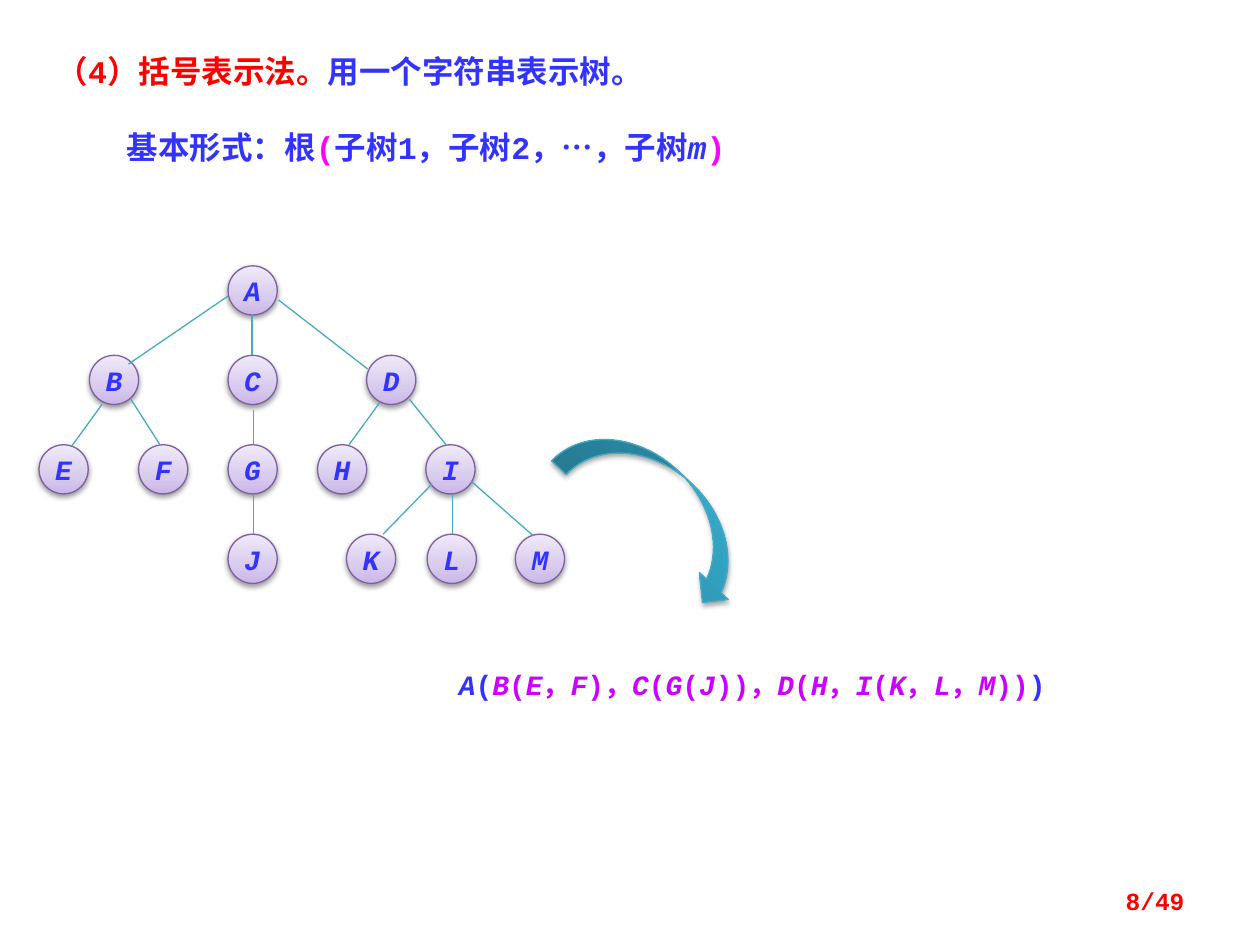
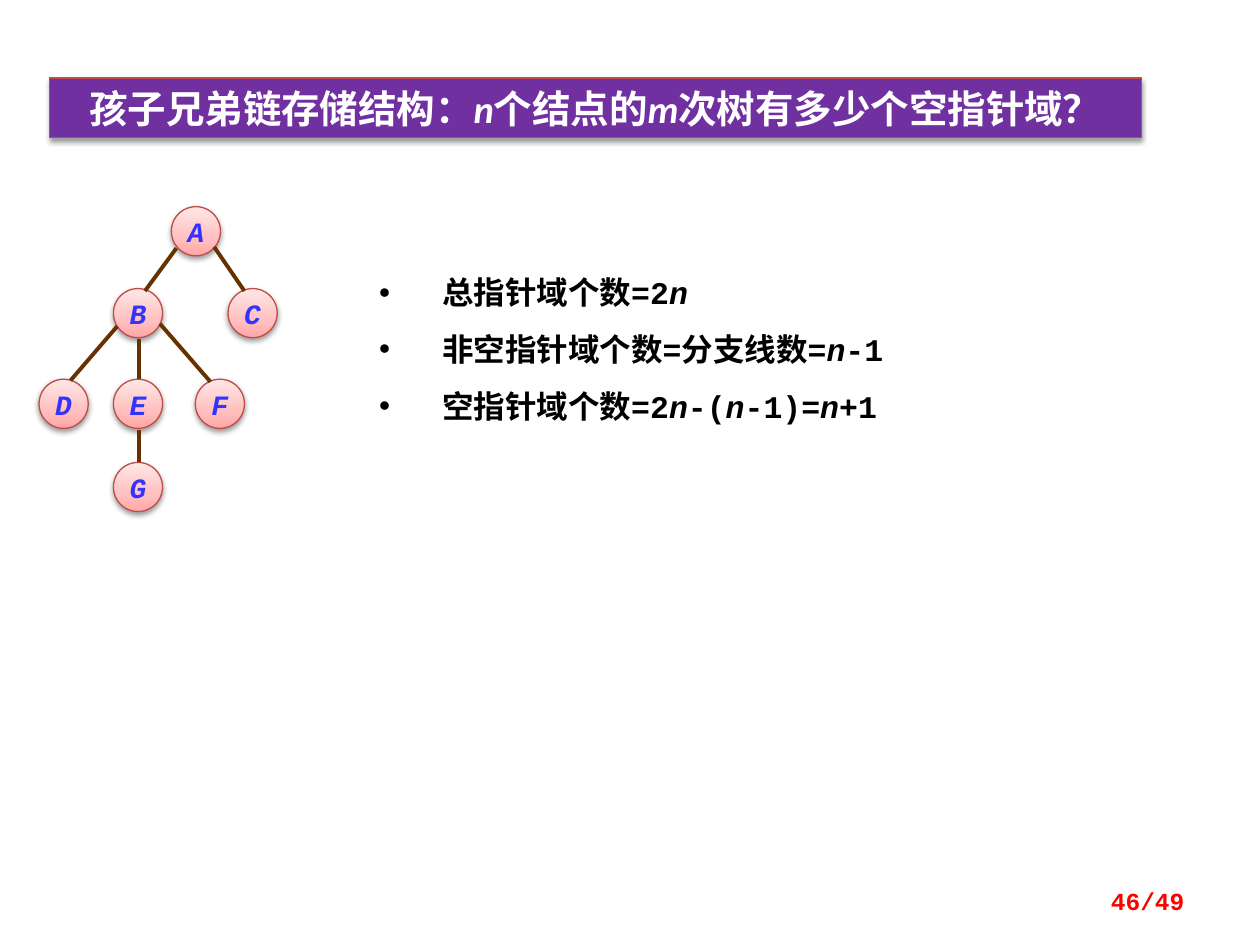
from itertools import groupby

from lxml.etree import SubElement
from pptx import Presentation
from pptx.dml.color import RGBColor
from pptx.enum.shapes import MSO_CONNECTOR, MSO_SHAPE
from pptx.enum.text import MSO_ANCHOR, PP_ALIGN
from pptx.oxml.ns import qn
from pptx.util import Inches, Pt

BLUE, RED, MAGENTA, VIOLET = "3333FF", "FF0000", "FF00FF", "CC00FF"
PURPLE, BRICK, TEAL, BROWN = "7030A0", "BF4C48", "46AAC5", "663300"
WHITE, BLACK = "FFFFFF", "000000"
CODE, SANS, CJK = "Courier New", "Calibri", "Noto Sans CJK SC"
NODE_SIZE = 0.39
PAGES = 49
SOFT_SHADOW = {"alpha": 38, "blur": 3.1, "dist": 1.6}
ARROW_SHADOW = {"alpha": 35, "blur": 3.1, "dist": 1.8}
LILAC_TREE = {
    "stops": [(0, "C9B5E8"), (35, "D8CBEE"), (100, "F0EAF9")],
    "outline": "7D60A0", "edge": TEAL, "weight": 0.75,
}
PINK_TREE = {
    "stops": [(0, "FFA6A5"), (35, "FFC0BF"), (100, "FFE7E7")],
    "outline": BRICK, "edge": BROWN, "weight": 2.25,
}
ARROW_STOPS = [(0, "2A88A2"), (80, "37B1D2"), (100, "34B4D6")]


def rgb(value):
    """Turn a hex string into a colour."""
    return RGBColor.from_string(value)


def set_line(line, color, weight=0.75):
    """Colour a line and set its width in points."""
    line.color.rgb = rgb(color)
    line.width = Pt(weight)


def set_gradient(shape, stops):
    """Fill a shape with colour stops that run from bottom to top."""
    shape.fill.gradient()
    shape.fill.gradient_angle = 90
    stop_list = shape._element.spPr.find(".//" + qn("a:gsLst"))
    for old in list(stop_list):
        stop_list.remove(old)
    for percent, color in stops:
        stop = SubElement(stop_list, qn("a:gs"), pos=str(percent * 1000))
        SubElement(stop, qn("a:srgbClr"), val=color)


def set_shadow(shape, alpha, blur, dist):
    """Give a shape a shadow that falls straight down."""
    shape.shadow.inherit = False
    effects = shape._element.spPr.find(qn("a:effectLst"))
    outer = SubElement(effects, qn("a:outerShdw"), blurRad=str(Pt(blur)),
                       dist=str(Pt(dist)), dir="5400000", rotWithShape="0")
    color = SubElement(outer, qn("a:srgbClr"), val=BLACK)
    SubElement(color, qn("a:alpha"), val=str(alpha * 1000))


def is_variable(char):
    """Tell whether a character is a Latin letter, shown in italics."""
    return char.isascii() and char.isalpha()


def add_runs(p, parts, size, font=CODE):
    """Write (text, colour) parts in bold with the Latin letters in italics."""
    for text, color in parts:
        for italic, chars in groupby(text, is_variable):
            r = p.add_run()
            r.text = "".join(chars)
            looks = {"size": Pt(size), "name": font, "bold": True, "italic": italic}
            for name, value in looks.items():
                setattr(r.font, name, value)
            r.font.color.rgb = rgb(color)
            r.font._element.find(qn("a:latin")).addnext(
                r.font._element.makeelement(qn("a:ea"), {"typeface": CJK}))


def write_line(shape, parts, size, font=CODE, align=PP_ALIGN.LEFT, wrap=True):
    """Put one vertically centred line of text into a shape."""
    tf = shape.text_frame
    frame = {
        "word_wrap": wrap, "vertical_anchor": MSO_ANCHOR.MIDDLE,
        "margin_left": Inches(0.1), "margin_right": Inches(0.1),
        "margin_top": Inches(0.05), "margin_bottom": Inches(0.05),
    }
    for name, value in frame.items():
        setattr(tf, name, value)
    p = tf.paragraphs[0]
    p.alignment = align
    add_runs(p, parts, size, font)


def add_text_line(s, box, parts, size, align=PP_ALIGN.LEFT):
    """Add a text box that holds one line."""
    write_line(s.shapes.add_textbox(*map(Inches, box)), parts, size, align=align)


def add_title(s, box, parts, size, **options):
    """Move the title placeholder to a box and write into it."""
    title = s.shapes.title
    title.left, title.top, title.width, title.height = map(Inches, box)
    write_line(title, parts, size, **options)
    return title


def add_page_number(s, number):
    """Write the page count at the lower right."""
    add_text_line(s, (7.17, 6.95, 2.33, 0.4), [(f"{number}/{PAGES}", RED)], 14,
                  PP_ALIGN.RIGHT)


def add_node(s, left, top, label, style):
    """Draw one round tree node."""
    node = s.shapes.add_shape(MSO_SHAPE.OVAL, Inches(left), Inches(top),
                              Inches(NODE_SIZE), Inches(NODE_SIZE))
    set_gradient(node, style["stops"])
    set_line(node.line, style["outline"])
    set_shadow(node, **SOFT_SHADOW)
    write_line(node, [(label, BLUE)], 16, align=PP_ALIGN.CENTER, wrap=False)


def add_tree(s, left, top, levels, edges, style):
    """Draw a tree whose levels and edges are offsets from its top left."""
    for offset, nodes in levels:
        for label, x in nodes.items():
            add_node(s, left + x, top + offset, label, style)
    for x1, y1, x2, y2 in edges:
        edge = s.shapes.add_connector(
            MSO_CONNECTOR.STRAIGHT, Inches(left + x1), Inches(top + y1),
            Inches(left + x2), Inches(top + y2))
        set_line(edge.line, style["edge"], style["weight"])
        SubElement(edge._element.spPr, qn("a:effectLst"))


def add_turn_arrow(s, box, angle):
    """Draw the curved arrow from the tree to its bracket form."""
    arrow = s.shapes.add_shape(MSO_SHAPE.CURVED_DOWN_ARROW, *map(Inches, box))
    arrow.rotation = angle
    set_gradient(arrow, ARROW_STOPS)
    set_line(arrow.line, TEAL)
    set_shadow(arrow, **ARROW_SHADOW)


def add_bullets(s, box, lines):
    """Add a bulleted list with wide line spacing."""
    tf = s.shapes.add_textbox(*map(Inches, box)).text_frame
    frame = {"word_wrap": True, "margin_left": Inches(0.2),
             "margin_top": Inches(0.12), "margin_bottom": Inches(0.12)}
    for name, value in frame.items():
        setattr(tf, name, value)
    for i, line in enumerate(lines):
        p = tf.add_paragraph() if i else tf.paragraphs[0]
        pPr = p._p.get_or_add_pPr()
        pPr.set("marL", str(Inches(0.5)))
        pPr.set("indent", str(Inches(-0.5)))
        SubElement(pPr, qn("a:buFont"), typeface="Arial")
        SubElement(pPr, qn("a:buChar"), char="•")
        p.line_spacing = 1.5
        add_runs(p, [(line, BLACK)], 18)


def build_bracket_slide(s):
    """Show a tree and its bracket notation."""
    add_title(s, (0.35, 0.36, 7.22, 0.4),
              [("（4）括号表示法。", RED), ("用一个字符串表示树。", BLUE)], 18)
    add_text_line(s, (0.91, 0.97, 6.66, 0.4), [
        ("基本形式：根", BLUE), ("(", MAGENTA),
        ("子树1，子树2，…，子树m", BLUE), (")", MAGENTA)], 18)
    pitch = 0.71
    rows = [
        {"A": 1.5},
        {"B": 0.4, "C": 1.5, "D": 2.6},
        {"E": 0, "F": 0.79, "G": 1.5, "H": 2.21, "I": 3.07},
        {"J": 1.5, "K": 2.44, "L": 3.08, "M": 3.78},
    ]
    edges = [
        (1.5, 0.24, 0.71, 0.78), (1.69, 0.39, 1.69, 0.71), (1.9, 0.27, 2.61, 0.82),
        (0.5, 1.1, 0.26, 1.43), (0.73, 1.06, 0.96, 1.42), (1.7, 1.14, 1.7, 1.42),
        (2.7, 1.09, 2.46, 1.42), (2.94, 1.06, 3.23, 1.42), (1.7, 1.81, 1.7, 2.13),
        (3.12, 1.73, 2.73, 2.13), (3.28, 1.81, 3.28, 2.13), (3.43, 1.71, 3.92, 2.14),
    ]
    levels = [(i * pitch, row) for i, row in enumerate(rows)]
    add_tree(s, 0.31, 2.11, levels, edges, LILAC_TREE)
    add_text_line(s, (2.73, 5.23, 6.48, 0.4), [
        ("A(", BLUE), ("B(E，F)，C(G(J))，D(H，I(K，L，M))", VIOLET),
        (")", BLUE)], 16, PP_ALIGN.CENTER)
    add_turn_arrow(s, (4.35, 3.73, 1.8, 0.63), 43.2)
    add_page_number(s, 8)


def build_pointer_slide(s):
    """Count the empty pointer fields of a linked tree."""
    banner = add_title(s, (0.39, 0.62, 8.67, 0.47),
                       [("孩子兄弟链存储结构：n个结点的m次树有多少个空指针域？", WHITE)],
                       22, font=SANS, align=PP_ALIGN.CENTER)
    banner.fill.solid()
    banner.fill.fore_color.rgb = rgb(PURPLE)
    set_line(banner.line, BRICK)
    set_shadow(banner, **SOFT_SHADOW)
    add_bullets(s, (2.81, 1.9, 5.31, 1.64), [
        "总指针域个数=2n", "非空指针域个数=分支线数=n-1", "空指针域个数=2n-(n-1)=n+1"])
    levels = [
        (0, {"A": 1.05}),
        (0.65, {"B": 0.59, "C": 1.5}),
        (1.37, {"D": 0, "E": 0.59, "F": 1.24}),
        (2.03, {"G": 0.59}),
    ]
    edges = [
        (1.09, 0.33, 0.84, 0.67), (1.39, 0.32, 1.63, 0.67), (0.62, 0.95, 0.25, 1.38),
        (0.79, 1.05, 0.79, 1.37), (0.96, 0.93, 1.36, 1.39), (0.79, 1.77, 0.79, 2.03),
    ]
    add_tree(s, 0.31, 1.64, levels, edges, PINK_TREE)
    add_page_number(s, 46)


def main():
    """Build the slides and save them."""
    prs = Presentation()
    prs.slide_width, prs.slide_height = Inches(10), Inches(7.5)
    for build in (build_bracket_slide, build_pointer_slide):
        build(prs.slides.add_slide(prs.slide_layouts[5]))
    prs.save("out.pptx")


if __name__ == "__main__":
    main()
